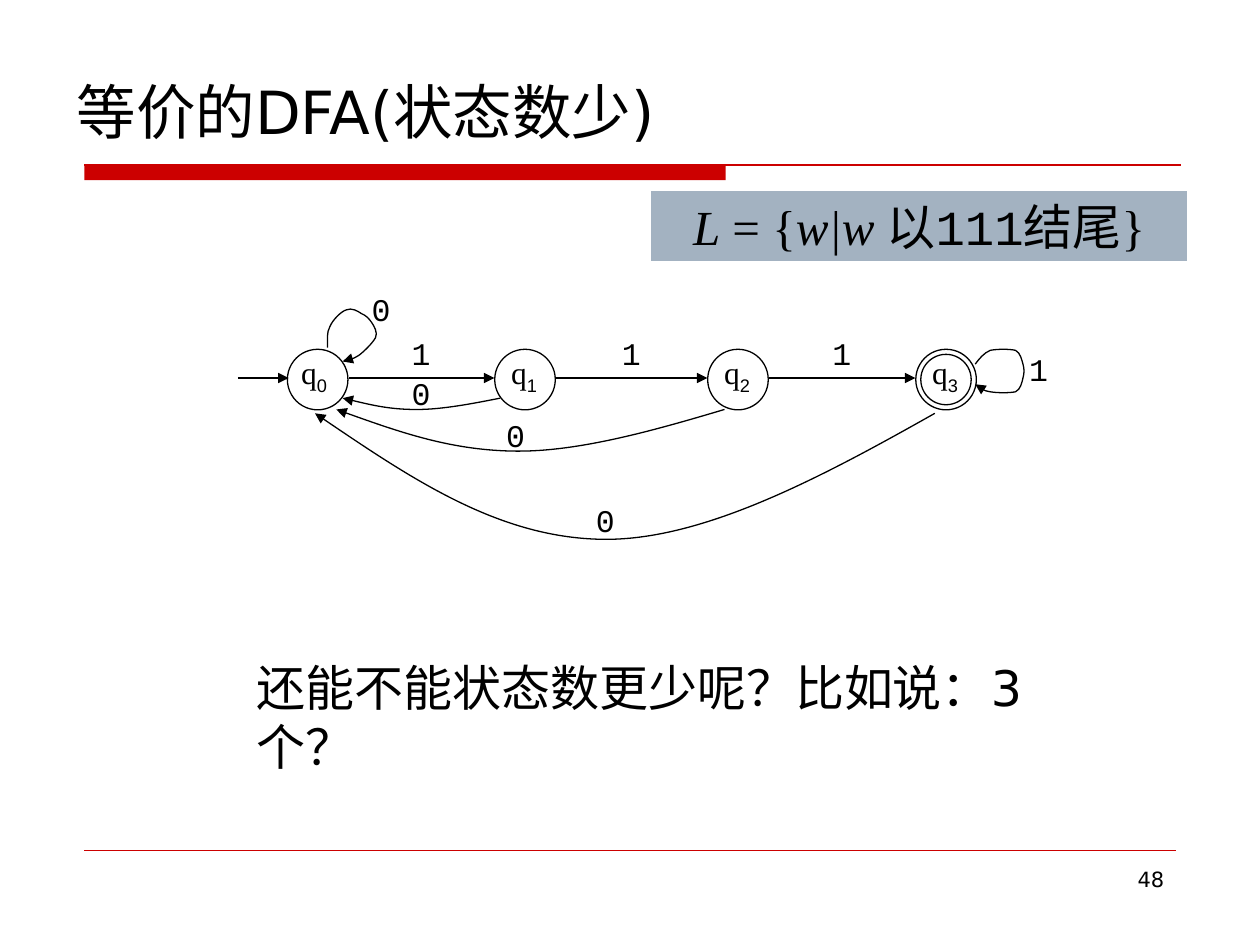
from lxml.etree import SubElement
from pptx import Presentation
from pptx.dml.color import RGBColor
from pptx.enum.shapes import MSO_CONNECTOR, MSO_SHAPE
from pptx.enum.text import MSO_ANCHOR, PP_ALIGN
from pptx.oxml.ns import qn
from pptx.util import Pt

# Content
TITLE = "等价的DFA(状态数少)"
QUESTION = "还能不能状态数更少呢？比如说：3个？"
PAGE_NUMBER = "48"
SERIF, SANS, MONO = "Times New Roman", "DejaVu Sans", "Courier New"
# Text, font, italic
LANGUAGE = [
    ("L", SERIF, True), (" = {", SERIF, False), ("w|w ", SERIF, True),
    ("以", SERIF, False), ("111结尾", MONO, False), ("}", SERIF, False),
]
# Subscript, centre x, label offset from the centre
STATES = [("0", 181.5, -16.5), ("1", 300, -15), ("2", 421.7, -15), ("3", 540.6, -15)]
STEP_SYMBOL = "1"
# Symbol, label left and top, start x, end x, y of both ends, depth
RETURNS = [
    ("0", (228.2, 210.2), 285.8, 195.8, 227.5, 6.5),
    ("0", (282.2, 234), 414, 192.2, 234, 23.8),
    ("0", (333.4, 283), 534.2, 180, 236.2, 72),
]
# Symbol, label left and top, start and Bezier points
LOOPS = [
    ("0", (205.2, 162), [
        (187.2, 198.7), (187.2, 194.4), (186.5, 190.1), (188.6, 186.5),
        (190.1, 182.9), (195.1, 177.8), (198, 177.1), (200.9, 175.7),
        (204.5, 177.8), (206.6, 179.3), (208.8, 180), (211, 182.2),
        (212.4, 184.3), (213.8, 186.5), (216, 190.1), (214.6, 193),
        (213.1, 195.8), (208.1, 200.9), (205.2, 203), (201.6, 205.2),
        (198.7, 205.9), (195.8, 206.6)]),
    ("1", (581, 196.6), [
        (557.3, 208.1), (559.4, 205.2), (562.3, 201.6), (565.9, 200.2),
        (570.2, 199.4), (576.7, 199.4), (580.3, 200.2), (583.2, 201.6),
        (583.9, 205.9), (584.6, 208.1), (585.4, 211), (585.4, 213.1),
        (584.6, 216), (583.9, 218.9), (583.2, 222.5), (580.3, 223.9),
        (576.7, 224.6), (570.2, 224.6), (565.9, 223.9), (562.3, 223.2),
        (559.4, 221.8), (557.3, 219.6)]),
]
# Shape shared by the return arcs: share of the span, share of the depth
ARC = [(0, 0), (0.18, 0.5), (0.37, 1), (0.53, 1), (0.7, 1), (0.85, 0.5), (1, 0)]

BLACK, WHITE, RED, PANEL = "000000", "FFFFFF", "CC0000", "A3B2C1"
STATE_SIZE, STATE_Y, ARROW_Y = 34.6, 216.7, 216

prs = Presentation()
prs.slide_width, prs.slide_height = Pt(720), Pt(540)
slide = prs.slides.add_slide(prs.slide_layouts[5])
shapes = slide.shapes


def color(hex_value):
    return RGBColor.from_string(hex_value)


def set_font(font, size, name, hex_value=BLACK):
    font.size, font.name = Pt(size), name
    font.color.rgb = color(hex_value)


def style_line(line, hex_value=BLACK, width=0.75):
    line.color.rgb = color(hex_value)
    line.width = Pt(width)


def add_arrowhead(item):
    SubElement(item.element.spPr.find(qn("a:ln")), qn("a:tailEnd"), type="triangle")


def add_line(start, end, hex_value=BLACK, width=0.75, arrow=False):
    line = shapes.add_connector(MSO_CONNECTOR.STRAIGHT, *map(Pt, start + end))
    style_line(line.line, hex_value, width)
    if arrow:
        add_arrowhead(line)
    SubElement(line.element.spPr, qn("a:effectLst"))


def add_preset(preset, box, fill=None, outline=None):
    shape = shapes.add_shape(preset, *map(Pt, box))
    shape.shadow.inherit = False
    if fill:
        shape.fill.solid()
        shape.fill.fore_color.rgb = color(fill)
    else:
        shape.fill.background()
    if outline:
        style_line(shape.line, outline)
    else:
        shape.line.fill.background()
    return shape


def add_text(box, text, size, name, wrap=False, align=PP_ALIGN.LEFT):
    frame = shapes.add_textbox(*map(Pt, box)).text_frame
    frame.word_wrap = wrap
    paragraph = frame.paragraphs[0]
    paragraph.text, paragraph.alignment = text, align
    set_font(paragraph.font, size, name)
    return paragraph


def add_symbol(corner, symbol):
    add_text(corner + (25.2, 28.8), symbol, 18, MONO)


def add_curve(points):
    start, *rest = [(Pt(x), Pt(y)) for x, y in points]
    builder = shapes.build_freeform(*start, scale=1.0)
    builder.add_line_segments(rest, close=False)
    curve = builder.convert_to_shape()
    curve.shadow.inherit = False
    curve.fill.background()
    style_line(curve.line)
    add_arrowhead(curve)
    # Each three straight segments become one Bezier segment
    outline = next(curve.element.iter(qn("a:path")))
    segments = outline.findall(qn("a:lnTo"))
    for first in range(0, len(segments), 3):
        bezier = SubElement(outline, qn("a:cubicBezTo"))
        for segment in segments[first:first + 3]:
            bezier.append(segment[0])
            outline.remove(segment)


def add_circle(center_x, size, fill=None):
    box = (center_x - size / 2, STATE_Y + 0.2 - size / 2, size, size)
    add_preset(MSO_SHAPE.OVAL, box, fill, BLACK)


# Title, rules and page number
title = shapes.title
title.left, title.top, title.width, title.height = map(Pt, (36.7, 37.4, 658, 51.8))
title.text_frame.text = TITLE
title.text_frame.vertical_anchor = MSO_ANCHOR.MIDDLE
heading = title.text_frame.paragraphs[0]
heading.alignment = PP_ALIGN.LEFT
set_font(heading.font, 34, SANS)
add_preset(MSO_SHAPE.RECTANGLE, (48.2, 94.3, 366.5, 8.6), RED)
add_line((48.2, 94.3), (674.6, 94.3), RED)
add_line((48.2, 486), (671.8, 486), RED, 0.25)
add_text((516.2, 491.8, 156.2, 37.4), PAGE_NUMBER, 12, SANS, True, PP_ALIGN.RIGHT)

# Loops and return arcs
for symbol, corner, points in LOOPS:
    add_curve(points)
    add_symbol(corner, symbol)
for symbol, corner, start_x, end_x, y, depth in RETURNS:
    add_curve([(start_x + (end_x - start_x) * across, y + depth * down)
               for across, down in ARC])
    add_symbol(corner, symbol)

# States, the last one accepting
for subscript, center_x, offset in STATES:
    add_circle(center_x, STATE_SIZE, WHITE)
    label = add_text((center_x + offset, 198, 30.2, 31.7), "q", 18, SERIF)
    index = label.add_run()
    index.text, index.font.name = subscript, "Arial"
    index.font._element.set("baseline", "-25000")
add_circle(STATES[-1][1], 28.8)

# Start arrow and steps between neighbours
add_line((136, ARROW_Y), (164.9, ARROW_Y), arrow=True)
for (_, here, _), (_, after, _) in zip(STATES, STATES[1:]):
    add_line((here + 18, ARROW_Y), (after - 17.5, ARROW_Y), arrow=True)
    add_symbol(((here + after) / 2 - 12.6, 187.2), STEP_SYMBOL)

# Question and language definition
add_text((139.7, 372.2, 475, 74), QUESTION, 28, SANS, wrap=True)
panel = add_preset(MSO_SHAPE.RECTANGLE, (371.5, 108.7, 307.4, 41), PANEL, WHITE)
panel.text_frame.word_wrap = False
definition = panel.text_frame.paragraphs[0]
definition.alignment = PP_ALIGN.CENTER
set_font(definition.font, 28, SERIF)
for text, name, italic in LANGUAGE:
    run = definition.add_run()
    run.text, run.font.name, run.font.italic = text, name, italic
    run.font.size, run.font.color.rgb = Pt(28), color(BLACK)

prs.save("out.pptx")
